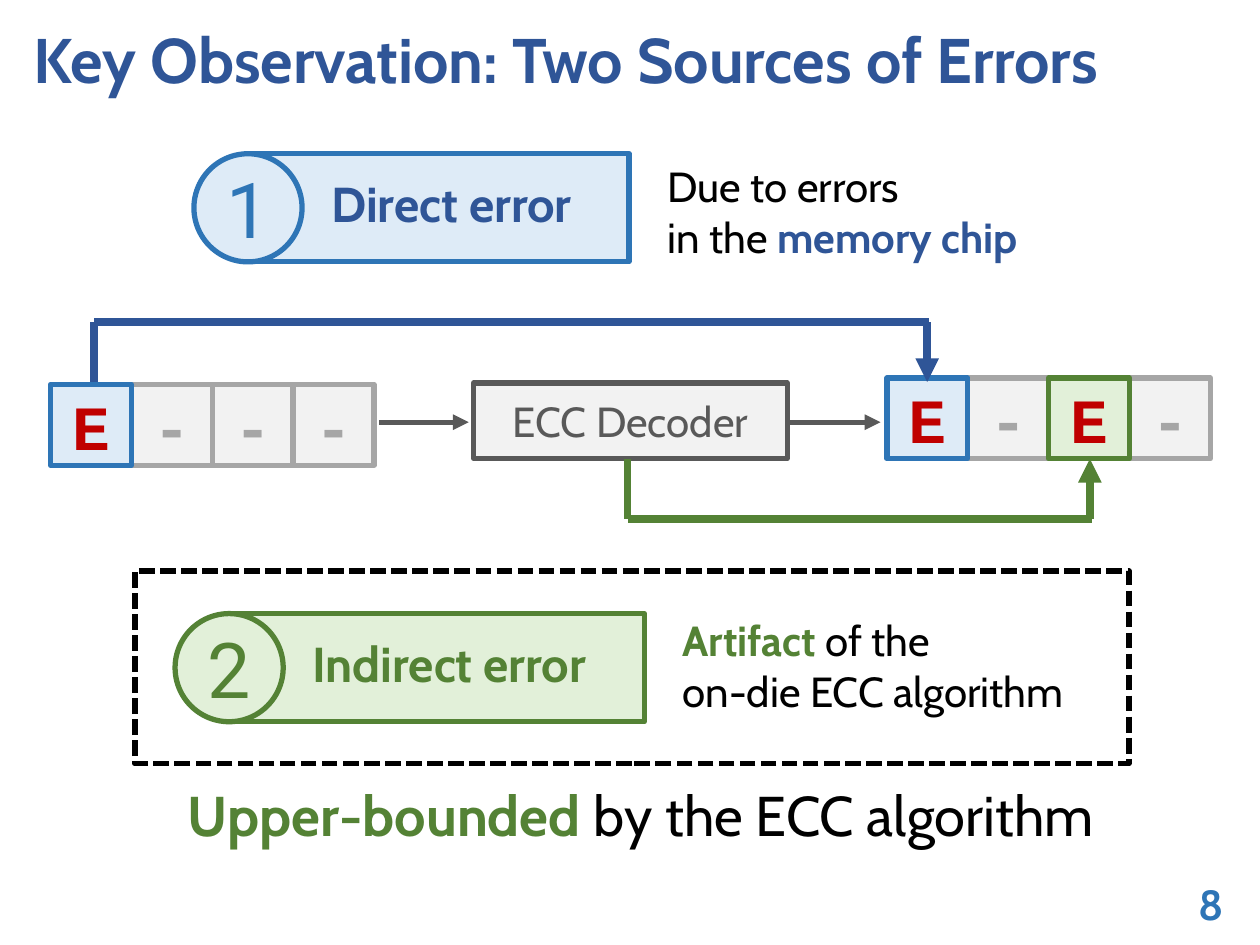
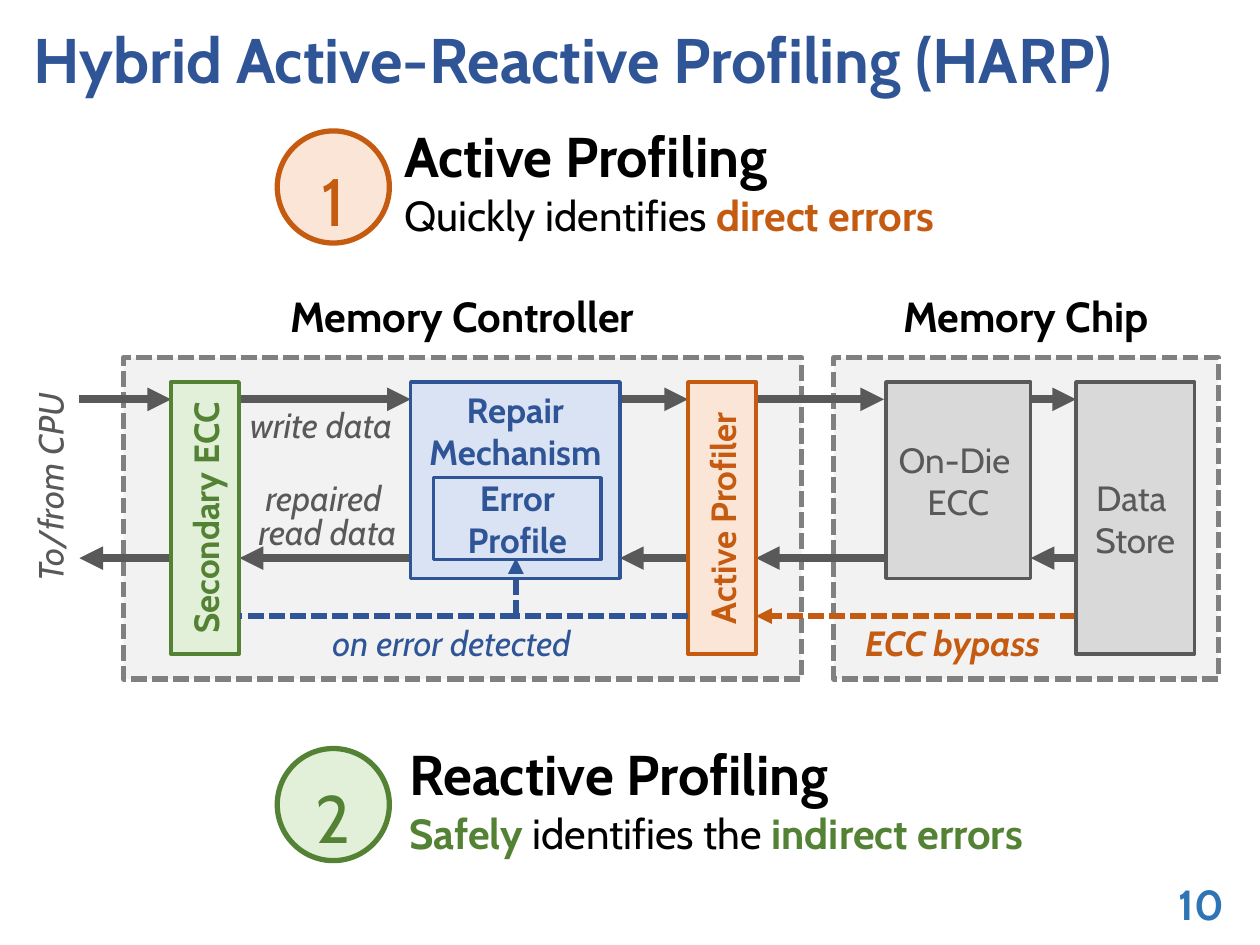
from dataclasses import dataclass
from typing import Optional

from lxml.etree import SubElement
from pptx import Presentation
from pptx.dml.color import RGBColor
from pptx.enum.dml import MSO_LINE
from pptx.enum.shapes import MSO_CONNECTOR, MSO_SHAPE
from pptx.enum.text import MSO_ANCHOR, PP_ALIGN
from pptx.oxml.ns import qn
from pptx.util import Cm, Pt

# Colours
BLACK = RGBColor(0x00, 0x00, 0x00)
NAVY = RGBColor(0x2F, 0x55, 0x97)
BLUE = RGBColor(0x2E, 0x75, 0xB6)
GREEN = RGBColor(0x54, 0x82, 0x35)
ORANGE = RGBColor(0xC5, 0x5A, 0x11)
RED = RGBColor(0xC0, 0x00, 0x00)
DARK_GREY = RGBColor(0x59, 0x59, 0x59)
MID_GREY = RGBColor(0x80, 0x80, 0x80)
CELL_GREY = RGBColor(0xA6, 0xA6, 0xA6)
STORE_GREY = RGBColor(0xD9, 0xD9, 0xD9)
PALE_GREY = RGBColor(0xF2, 0xF2, 0xF2)
PALE_BLUE = RGBColor(0xDE, 0xEB, 0xF7)
PALE_NAVY = RGBColor(0xDA, 0xE3, 0xF3)
PALE_GREEN = RGBColor(0xE2, 0xF0, 0xD9)
PALE_ORANGE = RGBColor(0xFB, 0xE5, 0xD6)


@dataclass(frozen=True)
class Span:
    text: str
    color: RGBColor = BLACK
    bold: bool = False
    italic: bool = False


@dataclass(frozen=True)
class Style:
    size: float
    align: PP_ALIGN = PP_ALIGN.CENTER
    anchor: MSO_ANCHOR = MSO_ANCHOR.MIDDLE
    font: str = "Cabin"
    spacing: float = 1.0
    before: float = 0
    vertical: bool = False
    baseline: int = 0


@dataclass(frozen=True)
class Area:
    """Left, top, width and height in centimetres."""
    left: float
    top: float
    width: float
    height: float

    def lengths(self) -> list:
        return [Cm(v) for v in (self.left, self.top, self.width, self.height)]


@dataclass(frozen=True)
class Block:
    area: Area
    fill: Optional[RGBColor]
    line: RGBColor
    weight: float = 3
    dashed: bool = False
    kind: MSO_SHAPE = MSO_SHAPE.RECTANGLE


@dataclass(frozen=True)
class Link:
    start: tuple[float, float]
    end: tuple[float, float]
    color: RGBColor
    weight: float = 4.5
    arrow: bool = True
    dashed: bool = False


LEFT, RIGHT, TOP = PP_ALIGN.LEFT, PP_ALIGN.RIGHT, MSO_ANCHOR.TOP
TITLE = Style(36, LEFT, spacing=0.9)
PAGE_NUMBER = Style(24, RIGHT, TOP)
CELL = Style(36, font="Courier New")
BANNER = Style(28, LEFT, spacing=0.9, before=7.5)
BANNER_DIGIT = Style(44, font="Roboto")
NOTE = Style(24, LEFT, TOP)
STEP_HEAD = Style(32, LEFT, spacing=0.9, before=7.5)
STEP_TEXT = Style(24, LEFT, TOP, spacing=0.9)
STEP_DIGIT = Style(66, baseline=6000)
CONCLUSION = Style(32, anchor=TOP)
HEADING = Style(24, anchor=TOP)
PART = Style(20)
PART_TOP = Style(20, anchor=TOP)
PART_UPRIGHT = Style(20, vertical=True)
CAPTION = Style(20, anchor=TOP, spacing=0.8)


def apply(target, values: dict) -> None:
    for name, value in values.items():
        setattr(target, name, value)


def write(box, style: Style, *lines: list[Span]) -> None:
    """Fill a shape or text box, one paragraph for each list of spans."""
    frame = box.text_frame
    apply(frame, {"word_wrap": True, "vertical_anchor": style.anchor})
    if style.vertical:
        frame._txBody.bodyPr.set("vert", "vert270")
    for index, spans in enumerate(lines):
        para = frame.add_paragraph() if index else frame.paragraphs[0]
        apply(para, {"alignment": style.align, "line_spacing": style.spacing,
                     "space_before": Pt(style.before)})
        for span in spans:
            run = para.add_run()
            run.text = span.text
            apply(run.font, {"name": style.font, "size": Pt(style.size),
                             "bold": span.bold, "italic": span.italic})
            run.font.color.rgb = span.color
            if style.baseline:
                run._r.get_or_add_rPr().set("baseline", str(style.baseline))


def add_label(page, area: Area, style: Style, *lines: list[Span], rotation: float = 0) -> None:
    box = page.shapes.add_textbox(*area.lengths())
    box.rotation = rotation
    write(box, style, *lines)


def set_line(line, color: RGBColor, weight: float, dashed: bool) -> None:
    line.color.rgb = color
    line.width = Pt(weight)
    if dashed:
        line.dash_style = MSO_LINE.SQUARE_DOT


def add_block(page, block: Block, style: Style = PART, *lines: list[Span]) -> None:
    shape = page.shapes.add_shape(block.kind, *block.area.lengths())
    shape.shadow.inherit = False
    if block.fill is None:
        shape.fill.background()
    else:
        shape.fill.solid()
        shape.fill.fore_color.rgb = block.fill
    set_line(shape.line, block.line, block.weight, block.dashed)
    write(shape, style, *lines)


def add_link(page, link: Link) -> None:
    connector = page.shapes.add_connector(
        MSO_CONNECTOR.STRAIGHT, *[Cm(v) for v in link.start + link.end])
    set_line(connector.line, link.color, link.weight, link.dashed)
    properties = connector._element.spPr
    if link.arrow:
        SubElement(properties.find(qn("a:ln")), qn("a:tailEnd"), type="triangle")
    SubElement(properties, qn("a:effectLst"))


def add_page(deck, title: str, number: int):
    page = deck.slides.add_slide(deck.slide_layouts[6])
    add_label(page, Area(0.43, 0.23, 24.49, 2.08), TITLE, [Span(title, NAVY, True)])
    add_label(page, Area(19.2, 17.58, 5.72, 1.47), PAGE_NUMBER, [Span(str(number), BLUE, True)])
    return page


# Error sources
CELL_SIDE = 1.63
HIT_BLUE, HIT_GREEN = (PALE_BLUE, BLUE), (PALE_GREEN, GREEN)


def add_word(page, left: float, top: float, hits: dict) -> None:
    """A row of four memory cells; hits maps a position to its fill and line."""
    for position in sorted(range(4), key=lambda p: p in hits):
        fill, line = hits.get(position, (PALE_GREY, CELL_GREY))
        span = Span("E", RED, True) if position in hits else Span("-", CELL_GREY, True)
        area = Area(left + position * CELL_SIDE, top, CELL_SIDE, CELL_SIDE)
        add_block(page, Block(area, fill, line), CELL, [span])


def add_banner(page, left: float, top: float, width: float, digit: str, name: str,
               fill: RGBColor, line: RGBColor, text_color: RGBColor) -> None:
    size = 2.18
    add_block(page, Block(Area(left + 1.15, top, width, size), fill, line))
    add_label(page, Area(left + 2.52, top - 0.06, 7.29, 2.26), BANNER,
              [Span(name, text_color, True)])
    add_block(page, Block(Area(left, top, size, size), fill, line, kind=MSO_SHAPE.OVAL),
              BANNER_DIGIT, [Span(digit, line)])


def add_detour(page, start_x: float, end_x: float, edge_y: float, turn_y: float,
               color: RGBColor) -> None:
    """A three-part path that leaves and returns to the same height."""
    add_link(page, Link((end_x, turn_y), (end_x, edge_y), color))
    add_link(page, Link((end_x + 0.04, turn_y), (start_x, turn_y), color, arrow=False))
    add_link(page, Link((start_x, turn_y), (start_x, edge_y), color, arrow=False))


def build_error_sources(deck) -> None:
    page = add_page(deck, "Key Observation: Two Sources of Errors", 8)
    # Data word before and after decoding
    add_word(page, 1.02, 7.75, {0: HIT_BLUE})
    add_block(page, Block(Area(9.55, 7.72, 6.32, 1.52), PALE_GREY, DARK_GREY),
              Style(24), [Span("ECC Decoder", DARK_GREY)])
    add_word(page, 17.88, 7.62, {0: HIT_BLUE, 2: HIT_GREEN})
    for start, end in ((7.65, 9.45), (15.93, 17.75)):
        add_link(page, Link((start, 8.51), (end, 8.51), DARK_GREY, 3))
    # Direct error
    add_banner(page, 3.91, 3.1, 7.62, "1", "Direct error", PALE_BLUE, BLUE, NAVY)
    add_label(page, Area(13.21, 3.12, 8.66, 2.31), NOTE, [Span("Due to errors")],
              [Span("in the "), Span("memory chip", NAVY, True)])
    add_detour(page, 1.9, 18.69, 7.7, 6.5, NAVY)
    # Indirect error and its bound
    add_block(page, Block(Area(2.72, 11.51, 20.04, 3.89), None, BLACK, dashed=True))
    add_banner(page, 3.53, 12.37, 8.31, "2", "Indirect error", PALE_GREEN, GREEN, GREEN)
    add_label(page, Area(13.51, 12.27, 8.66, 2.31), NOTE,
              [Span("Artifact", GREEN, True), Span(" of the")], [Span("on-die ECC algorithm")])
    add_detour(page, 12.65, 21.97, 9.25, 10.46, GREEN)
    add_label(page, Area(2.64, 15.6, 20.57, 1.63), CONCLUSION,
              [Span("Upper-bounded ", GREEN, True), Span("by the ECC algorithm")])


# Profiling architecture
WRITE_Y, READ_Y, DETECT_Y = 8.05, 11.25, 12.42
PART_TOP_Y, SHORT, TALL = 7.7, 3.96, 5.49
HOPS = ((1.6, 3.45), (4.83, 8.28), (12.5, 13.87), (15.24, 17.82), (20.78, 21.69))


def add_step(page, top: float, left: float, digit: str, fill: RGBColor, line: RGBColor,
             head: str, text: list[Span]) -> None:
    size = 2.26
    add_label(page, Area(left, top - 0.55, 9.88, size), STEP_HEAD, [Span(head, bold=True)])
    add_block(page, Block(Area(5.59, top, size, size), fill, line, kind=MSO_SHAPE.OVAL),
              STEP_DIGIT, [Span(digit, line)])
    add_label(page, Area(left, top + 1.18, 14.12, 1.24), STEP_TEXT, text)


def add_part(page, left: float, width: float, height: float, fill: RGBColor, line: RGBColor,
             style: Style, *texts: str) -> None:
    area = Area(left, PART_TOP_Y, width, height)
    add_block(page, Block(area, fill, line, 2), style,
              *[[Span(text, line, line != DARK_GREY)] for text in texts])


def build_profiling(deck) -> None:
    page = add_page(deck, "Hybrid Active-Reactive Profiling (HARP)", 10)
    # Controller and chip panels
    for left, width, name, name_left, name_width in (
            (2.49, 13.67, "Memory Controller", 4.34, 9.96),
            (16.81, 7.75, "Memory Chip", 17.53, 6.3)):
        add_block(page, Block(Area(left, 7.21, width, 6.48), PALE_GREY, MID_GREY, dashed=True))
        add_label(page, Area(name_left, 5.74, name_width, 1.27), HEADING, [Span(name, bold=True)])
    # Write path to the right, read path to the left
    for left, right in HOPS:
        add_link(page, Link((left, WRITE_Y), (right, WRITE_Y), DARK_GREY))
        add_link(page, Link((right, READ_Y), (left, READ_Y), DARK_GREY))
    add_link(page, Link((21.69, DETECT_Y), (15.24, DETECT_Y), ORANGE, 3, dashed=True))
    # Parts
    add_part(page, 3.45, 1.37, TALL, PALE_GREEN, GREEN, PART_UPRIGHT, "Secondary ECC")
    add_part(page, 8.28, 4.22, SHORT, PALE_NAVY, NAVY, PART_TOP, "Repair Mechanism")
    add_block(page, Block(Area(8.74, 9.63, 3.38, 1.65), PALE_NAVY, NAVY, 2), PART,
              [Span("Error Profile", NAVY, True)])
    add_part(page, 13.87, 1.37, TALL, PALE_ORANGE, ORANGE, PART_UPRIGHT, "Active Profiler")
    add_part(page, 17.86, 2.92, SHORT, STORE_GREY, DARK_GREY, PART, "On-Die ", "ECC")
    add_part(page, 21.69, 2.39, TALL, STORE_GREY, DARK_GREY, PART, "Data ", "Store")
    # Error detection path
    for start, end, arrow in (((13.87, DETECT_Y), (10.4, DETECT_Y), False),
                              ((10.4, DETECT_Y), (4.83, DETECT_Y), False),
                              ((10.4, DETECT_Y), (10.4, READ_Y), True)):
        add_link(page, Link(start, end, NAVY, 3, arrow, True))
    # Captions
    add_label(page, Area(6.12, 12.4, 5.97, 1.12), PART_TOP,
              [Span("on error detected", NAVY, italic=True)])
    add_label(page, Area(16.74, 12.4, 4.93, 1.12), PART_TOP,
              [Span("ECC bypass", ORANGE, True, True)])
    add_label(page, Area(-1.78, 9.27, 5.59, 1.12), PART_TOP,
              [Span("To/from CPU", DARK_GREY, italic=True)], rotation=270)
    add_label(page, Area(4.8, 9.65, 3.61, 1.63), CAPTION,
              *[[Span(text, DARK_GREY, italic=True)] for text in ("repaired ", "read data")])
    add_label(page, Area(4.67, 8.18, 3.61, 0.94), CAPTION,
              [Span("write data", DARK_GREY, italic=True)])
    # Steps
    add_step(page, 2.64, 7.9, "1", PALE_ORANGE, ORANGE, "Active Profiling",
             [Span("Quickly identifies "), Span("direct errors", ORANGE, True)])
    add_step(page, 15.09, 8, "2", PALE_GREEN, GREEN, "Reactive Profiling",
             [Span("Safely", GREEN, True), Span(" identifies the "),
              Span("indirect errors", GREEN, True)])


def main() -> None:
    deck = Presentation()
    apply(deck, {"slide_width": Cm(25.4), "slide_height": Cm(19.05)})
    build_error_sources(deck)
    build_profiling(deck)
    deck.save("out.pptx")


if __name__ == "__main__":
    main()
